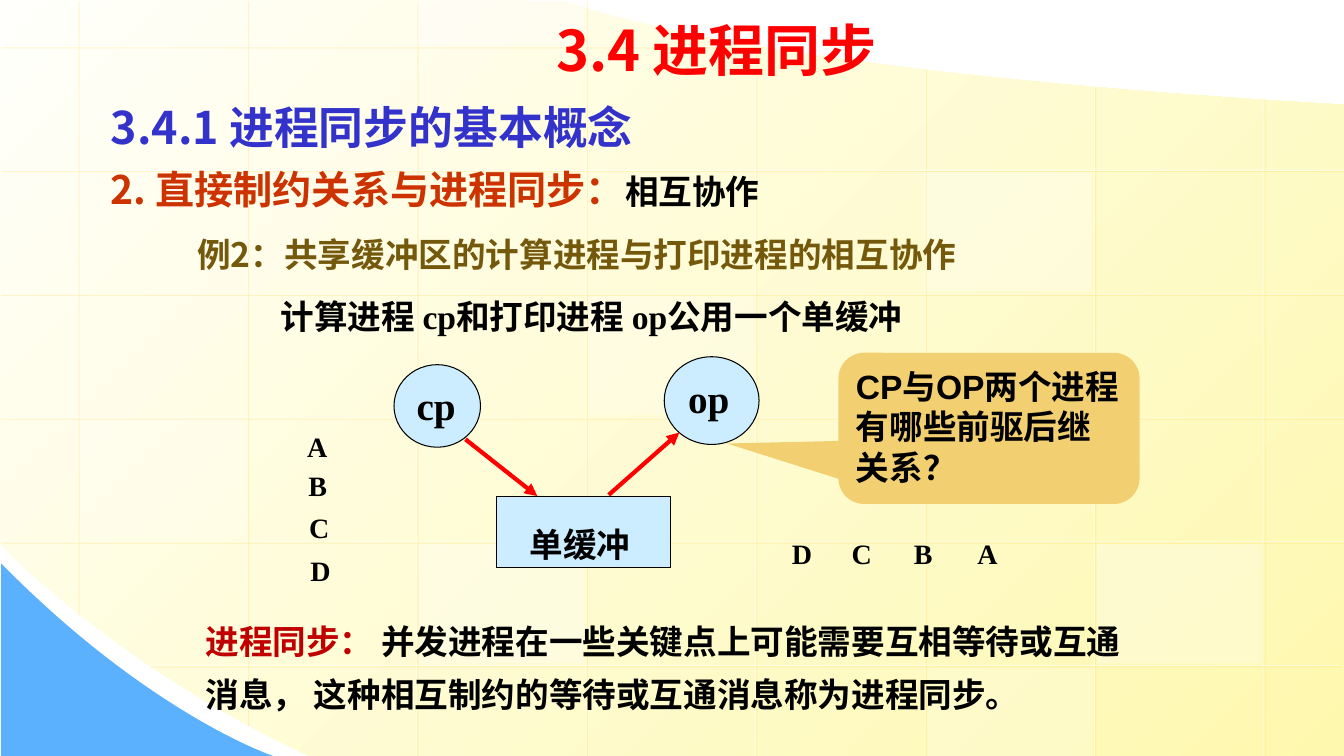
from lxml import etree
from pptx import Presentation
from pptx.dml.color import RGBColor
from pptx.enum.shapes import MSO_CONNECTOR, MSO_SHAPE
from pptx.enum.text import MSO_ANCHOR, PP_ALIGN
from pptx.oxml.ns import qn
from pptx.util import Cm, Pt

RECT, ELLIPSE = MSO_SHAPE.RECTANGLE, MSO_SHAPE.OVAL
CALLOUT = MSO_SHAPE.ROUNDED_RECTANGULAR_CALLOUT
STRAIGHT = MSO_CONNECTOR.STRAIGHT
TOP, MIDDLE = MSO_ANCHOR.TOP, MSO_ANCHOR.MIDDLE
LEFT, CENTER = PP_ALIGN.LEFT, PP_ALIGN.CENTER
HEI, TIMES, ARIAL = "Noto Sans CJK SC", "Times New Roman", "Arial"
BLACK, RED, PALE_BLUE = "000000", "FF0000", "CCECFF"


def rgb(value):
    """Turn a hex string into a colour."""
    return RGBColor.from_string(value)


def add_alpha(fill, percent):
    """Make a solid fill partly transparent."""
    color = fill._xPr.find(qn("a:solidFill"))[0]
    etree.SubElement(color, qn("a:alpha"), val=str(percent * 1000))


def add_bezier(points, c1, c2, end, steps=32):
    """Extend a list of points along a cubic curve."""
    start = points[-1]
    for i in range(1, steps + 1):
        t = i / steps
        u = 1 - t
        points.append(tuple(
            u**3 * a + 3 * u * u * t * b + 3 * u * t * t * c + t**3 * d
            for a, b, c, d in zip(start, c1, c2, end)))


def add_outline(slide, points):
    """Draw a closed outline without a line."""
    pts = [(Cm(x), Cm(y)) for x, y in points]
    builder = slide.shapes.build_freeform(*pts[0])
    builder.add_line_segments(pts[1:], close=True)
    sp = builder.convert_to_shape()
    sp.shadow.inherit = False
    sp.line.fill.background()
    return sp


def add_line(slide, x1, y1, x2, y2, color, width):
    """Draw a straight line and return it with its empty effect list."""
    line = slide.shapes.add_connector(STRAIGHT, Cm(x1), Cm(y1), Cm(x2), Cm(y2))
    line.line.color.rgb = rgb(color)
    line.line.width = Pt(width)
    effects = etree.SubElement(line._element.spPr, qn("a:effectLst"))
    return line, effects


def add_grid_line(slide, x1, y1, x2, y2):
    """Draw a translucent white line with a golden shadow."""
    line, effects = add_line(slide, x1, y1, x2, y2, "FFFFFF", 0.75)
    add_alpha(line.line.fill, 50)
    shadow = etree.SubElement(effects, qn("a:outerShdw"), blurRad="0",
                              dist=str(Pt(1.4)), dir="2700000", algn="ctr")
    color = etree.SubElement(shadow, qn("a:srgbClr"), val="FFCC00")
    etree.SubElement(color, qn("a:alpha"), val="34000")


def add_arrow(slide, x1, y1, x2, y2):
    """Draw a red arrow."""
    line, _ = add_line(slide, x1, y1, x2, y2, RED, 3)
    etree.SubElement(line.line._get_or_add_ln(), qn("a:tailEnd"), type="triangle")


def add_box(slide, kind, box, fill, outline=None):
    """Draw a filled preset shape."""
    sp = slide.shapes.add_shape(kind, *map(Cm, box))
    sp.shadow.inherit = False
    sp.fill.solid()
    sp.fill.fore_color.rgb = rgb(fill)
    if outline:
        sp.line.color.rgb = rgb(outline)
        sp.line.width = Pt(0.75)
    else:
        sp.line.fill.background()
    return sp


def write(sp, paragraphs, anchor=TOP, align=LEFT):
    """Fill a shape with paragraphs of (line height, indent, runs)."""
    tf = sp.text_frame
    tf.word_wrap = True
    tf.vertical_anchor = anchor
    for i, (height, indent, runs) in enumerate(paragraphs):
        p = tf.add_paragraph() if i else tf.paragraphs[0]
        p.alignment = align
        if height:
            p.line_spacing = Pt(height)
        if indent:
            p._p.get_or_add_pPr().set("marL", str(Cm(indent)))
        for text, size, font, color in runs:
            r = p.add_run()
            r.text = text
            r.font.size = Pt(size)
            r.font.bold = True
            r.font.name = font
            r.font.color.rgb = rgb(color)
            etree.SubElement(r._r.get_or_add_rPr(), qn("a:ea"), typeface=HEI)


def add_text(slide, box, paragraphs, **options):
    """Add a text box."""
    write(slide.shapes.add_textbox(*map(Cm, box)), paragraphs, **options)


def add_background(slide):
    """Draw the yellow field, the blue corner, the grid and its tiles."""
    field = [(33.86, 2.64), (33.88, 19.05), (7.8, 19.05)]
    add_bezier(field, (2.92, 16.79), (-0.03, 13.69), (0, 13.69))
    field += [(-0.03, -0.03), (14.25, 0.03)]
    add_bezier(field, (14.25, 0.03), (18.16, 1.75), (33.86, 2.64))
    fill = add_outline(slide, field).fill
    fill.gradient()
    fill.gradient_angle = 315
    for stop, color in zip(fill.gradient_stops, ("FFFFFB", "FEF8AF")):
        stop.color.rgb = rgb(color)

    corner = [(0.03, 14.2), (0.03, 19.05), (6.88, 19.05)]
    add_bezier(corner, (6.88, 19.05), (3.78, 18.01), (0.03, 14.2))
    fill = add_outline(slide, corner).fill
    fill.solid()
    fill.fore_color.rgb = rgb("5CB1FE")

    columns = [(0, 15.47), (0, 18.26), (0, 19.05), (0, 19.1),
               (1.09, 19.1), (1.73, 19.1), (2.16, 19.1), (2.49, 19.1)]
    for i, (top, bottom) in enumerate(columns):
        x = 1.96 + 4.27 * i
        add_grid_line(slide, x, top, x, bottom)
    rows = [(19.23, 0)] + [(33.91, 0)] * 4 + [(33.76, 3.76)]
    for i, (right, left) in enumerate(rows):
        y = 1.17 + 3.12 * i
        add_grid_line(slide, right, y, left, y)

    for x, y, height, alpha in [
            (14.83, 7.47, 3, 25), (27.64, 13.72, 3, 30), (2.03, 10.57, 3, 20),
            (23.37, 16.84, 2.21, 20), (10.54, 0, 1.12, 40),
            (10.57, 13.72, 3, 30), (23.34, 4.34, 3, 30)]:
        tile = add_box(slide, RECT, (x, y, 4.17, height), "FFFFFF")
        add_alpha(tile.fill, alpha)


def add_diagram(slide):
    """Draw the two processes, the buffer and the data items."""
    buffer = add_box(slide, RECT, (12.52, 12.5, 4.39, 1.8), PALE_BLUE, BLACK)
    write(buffer, [(45, 0.58, [("单缓冲", 24, TIMES, BLACK)])])
    for name, box in [("op", (16.74, 8.99, 2.39, 2.21)),
                      ("cp", (9.93, 9.19, 2.18, 2.08))]:
        process = add_box(slide, ELLIPSE, box, PALE_BLUE, BLACK)
        write(process, [(None, 0, [(name, 28, TIMES, BLACK)])])
    add_arrow(slide, 11.73, 11.07, 13.54, 12.5)
    add_arrow(slide, 15.34, 12.47, 17.12, 10.9)

    waiting = zip("ABCD", (7.49, 7.52, 7.54, 7.57), (10.69, 11.68, 12.73, 13.82))
    printed = zip("ABCD", (24.38, 22.78, 21.21, 19.71), [13.39] * 4)
    for item, x, y in [*waiting, *printed]:
        add_text(slide, (x, y, 2.57, 1.12),
                 [(None, 0, [(item, 20, TIMES, BLACK)])])


def main():
    """Build the slide and save it."""
    prs = Presentation()
    prs.slide_width, prs.slide_height = Cm(33.87), Cm(19.05)
    slide = prs.slides.add_slide(prs.slide_layouts[6])
    add_background(slide)
    add_text(slide, (4.72, 5.38, 23.6, 3.4), [
        (40, 0, [("例2：", 24, HEI, "74580B"),
                 ("共享缓冲区的计算进程与打印进程的相互协作", 24, TIMES, "74580B")]),
        (44, 2.1, [("计算进程 cp和打印进程 op公用一个单缓冲", 24, TIMES, BLACK)])])
    add_diagram(slide)
    add_text(slide, (2.54, 2.16, 23.6, 3.33), [
        (45, 0, [("3.4.1 进程同步的基本概念", 32, HEI, "3333CC")]),
        (42, 0, [("2. 直接制约关系与进程同步：", 28, HEI, "CC3300"),
                 ("相互协作", 24, HEI, BLACK)])])
    add_text(slide, (4.93, 15.19, 24, 2.77), [
        (38, 0, [("进程同步", 24, HEI, "C00000"), ("：", 24, TIMES, "C00000"),
                 (" 并发进程在一些关键点上可能需要互相等待或互通消息，"
                  " 这种相互制约的等待或互通消息称为进程同步。", 24, TIMES, BLACK)])])
    question = add_box(slide, CALLOUT, (21.13, 8.89, 7.59, 3.81), "F2D072")
    for i, value in enumerate((-0.87, 0.1, 0.17)):
        question.adjustments[i] = value
    write(question, [
        (29, 0, [("CP与OP两个进程有哪些前驱后继关系？", 24, ARIAL, BLACK)])])
    add_text(slide, (11.96, 0.18, 12.19, 2.13),
             [(None, 0, [("3.4 进程同步", 40, HEI, RED)])],
             anchor=MIDDLE, align=CENTER)
    prs.save("out.pptx")


if __name__ == "__main__":
    main()
